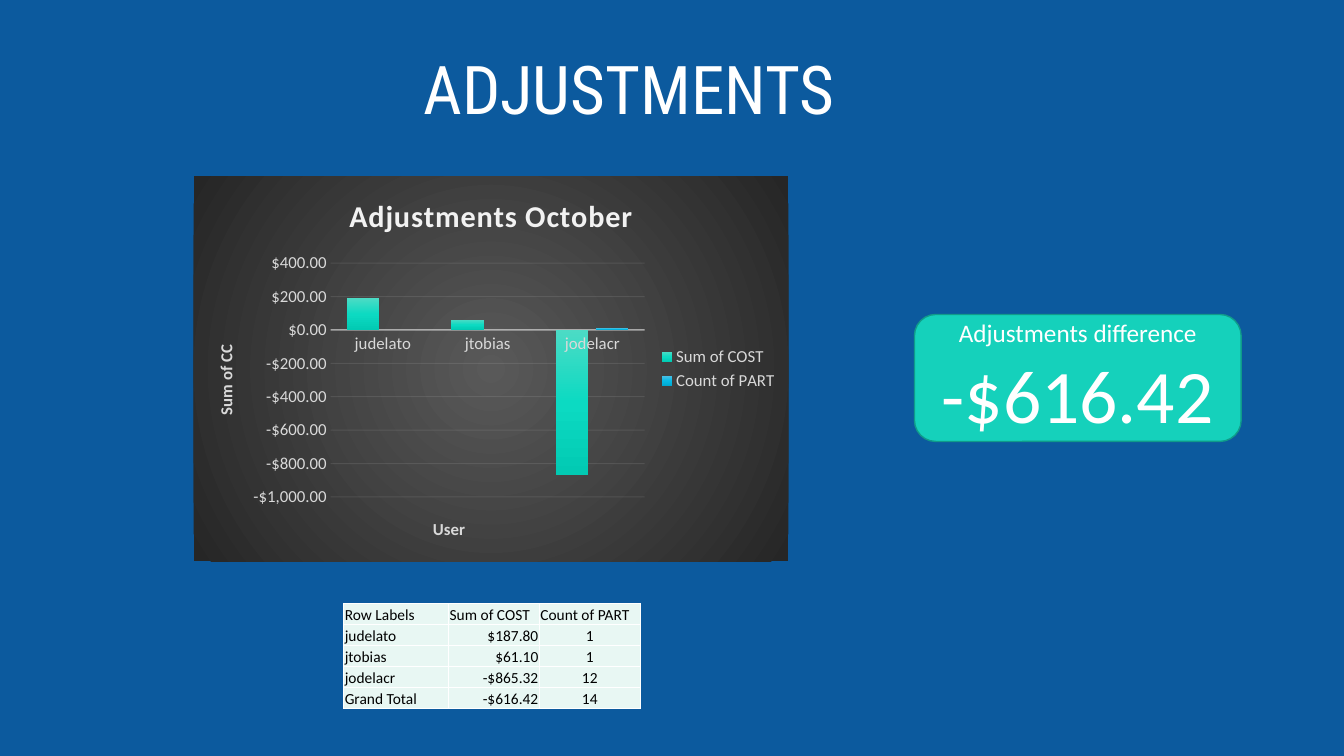
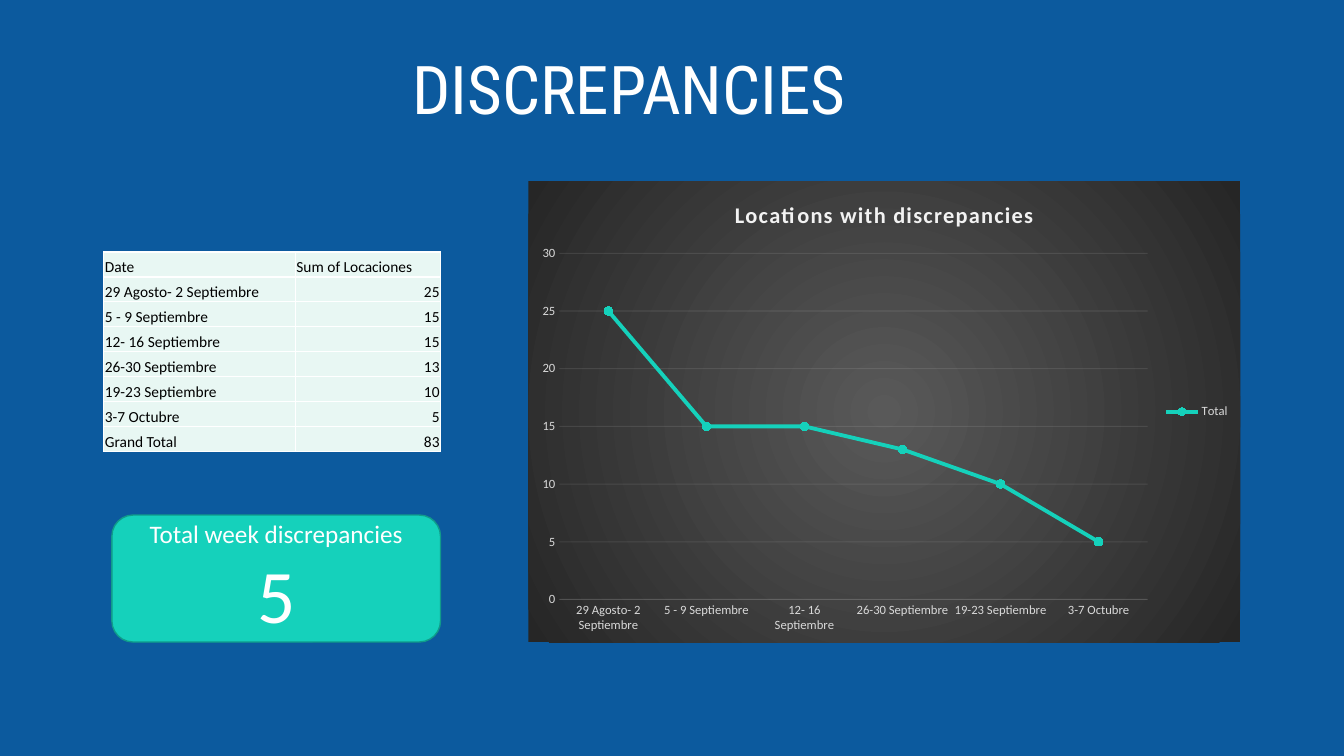
from dataclasses import dataclass
from typing import Optional

import lxml.etree
import pptx
import pptx.chart.data
import pptx.dml.color
import pptx.enum.chart
import pptx.enum.shapes
import pptx.enum.text
import pptx.oxml
import pptx.oxml.ns
import pptx.util

Inches = pptx.util.Inches
Pt = pptx.util.Pt
RGB = pptx.dml.color.RGBColor
ALIGN = pptx.enum.text.PP_ALIGN
ANCHOR = pptx.enum.text.MSO_ANCHOR
CHART = pptx.enum.chart.XL_CHART_TYPE
qn = pptx.oxml.ns.qn

BLUE = RGB(0x0C, 0x5A, 0x9E)
TEAL = RGB(0x15, 0xD1, 0xBB)
DARK_TEAL = RGB(0x10, 0x9B, 0x8A)
MARKER = RGB(0x0C, 0xDA, 0xC2)
MINT = RGB(0xE8, 0xF7, 0xF3)
WHITE = RGB(0xFF, 0xFF, 0xFF)
BLACK = RGB(0, 0, 0)
PALE = RGB(0xF2, 0xF2, 0xF2)
GREY = RGB(0xD9, 0xD9, 0xD9)
CHARCOAL_STOPS = (RGB(0x59, 0x59, 0x59), RGB(0x26, 0x26, 0x26))
BAR_STOPS = (
    (RGB(0x4C, 0xDB, 0xC5), RGB(0x0C, 0xDA, 0xC2), RGB(0x02, 0xCA, 0xB3)),
    (RGB(0x4C, 0xBF, 0xE4), RGB(0x05, 0xBA, 0xE5), RGB(0x00, 0xA8, 0xD0)),
)
BODY_FONT = "Calibri"
TITLE_FONT = "Roboto Condensed"
LINEAR = '<a:lin ang="5400000" scaled="0"/>'
RADIAL = ('<a:path path="circle"><a:fillToRect l="50000" t="50000" '
          'r="50000" b="50000"/></a:path>')


@dataclass
class Box:
    left: float
    top: float
    width: float
    height: float

    def emu(self) -> tuple:
        return tuple(Inches(v) for v in (self.left, self.top, self.width, self.height))


@dataclass
class ChartStyle:
    kind: int
    title: str
    title_size: float
    title_spacing: int
    label_size: float
    low: float
    high: float
    step: float
    axis_width: float
    axis_alpha: int
    number_format: str = "General"
    cat_title: Optional[str] = None
    val_title: Optional[str] = None


def add_run(p, text: str, size: float, color: RGB, font: str = BODY_FONT, bold: bool = False):
    r = p.add_run()
    r.text = text
    r.font.size = Pt(size)
    r.font.name = font
    r.font.bold = bold
    r.font.color.rgb = color
    return r


def add_title(s, text: str) -> None:
    tf = s.shapes.add_textbox(*Box(2.32, 0.36, 7.84, 0.97).emu()).text_frame
    tf.word_wrap = True
    tf.margin_left = tf.margin_right = 0
    tf.vertical_anchor = ANCHOR.BOTTOM
    p = tf.paragraphs[0]
    p.alignment = ALIGN.CENTER
    p.line_spacing = 0.9
    add_run(p, text, 48, WHITE, TITLE_FONT)


def add_callout(s, box: Box, label: str, value: str) -> None:
    sp = s.shapes.add_shape(pptx.enum.shapes.MSO_SHAPE.ROUNDED_RECTANGLE, *box.emu())
    sp.shadow.inherit = False
    sp.fill.solid()
    sp.fill.fore_color.rgb = TEAL
    sp.line.color.rgb = DARK_TEAL
    sp.line.width = Pt(1)
    tf = sp.text_frame
    tf.word_wrap = True
    tf.vertical_anchor = ANCHOR.MIDDLE
    for i, (text, size) in enumerate(((label, 18), (value, 54))):
        p = tf.add_paragraph() if i else tf.paragraphs[0]
        p.alignment = ALIGN.CENTER
        add_run(p, text, size, WHITE)


def add_borders(cell) -> None:
    tc_pr = cell._tc.get_or_add_tcPr()
    for side in ("lnL", "lnR", "lnT", "lnB"):
        ln = lxml.etree.SubElement(tc_pr, qn(f"a:{side}"), w=str(Pt(1)))
        fill = lxml.etree.SubElement(ln, qn("a:solidFill"))
        lxml.etree.SubElement(fill, qn("a:srgbClr"), val=str(WHITE))


def add_table(s, left: float, top: float, widths: list[float], height: float,
              rows: list[tuple], aligns: list) -> None:
    box = Box(left, top, sum(widths), height)
    table = s.shapes.add_table(len(rows), len(widths), *box.emu()).table
    table.first_row = table.horz_banding = False
    for column, width in zip(table.columns, widths):
        column.width = Inches(width)
    for i, row in enumerate(rows):
        table.rows[i].height = Inches(height / len(rows))
        for j, text in enumerate(row):
            cell = table.cell(i, j)
            cell.margin_left = cell.margin_right = cell.margin_top = Inches(0.01)
            cell.margin_bottom = 0
            cell.vertical_anchor = ANCHOR.BOTTOM
            add_borders(cell)
            cell.fill.solid()
            cell.fill.fore_color.rgb = MINT
            p = cell.text_frame.paragraphs[0]
            p.alignment = aligns[j] if i else ALIGN.LEFT
            add_run(p, text, 11, BLACK)


def gradient(stops: tuple, direction: str):
    last = len(stops) - 1
    marks = "".join(
        f'<a:gs pos="{100000 * i // last}"><a:srgbClr val="{c}"/></a:gs>'
        for i, c in enumerate(stops))
    return pptx.oxml.parse_xml(
        f'<a:gradFill {pptx.oxml.ns.nsdecls("a")} rotWithShape="1">'
        f'<a:gsLst>{marks}</a:gsLst>{direction}</a:gradFill>')


def fill_backdrop(chart) -> None:
    sp_pr = pptx.oxml.parse_xml(
        f'<c:spPr {pptx.oxml.ns.nsdecls("c", "a")}><a:ln><a:noFill/></a:ln></c:spPr>')
    sp_pr.insert(0, gradient(CHARCOAL_STOPS, RADIAL))
    chart.element.find(qn("c:chart")).addnext(sp_pr)


def style_line(fmt, width: float, alpha: int) -> None:
    fmt.line.color.rgb = PALE
    fmt.line.width = Pt(width)
    color = next(fmt.line._ln.iter(qn("a:srgbClr")))
    lxml.etree.SubElement(color, qn("a:alpha"), val=str(alpha * 1000))


def style_font(font, size: float, color: RGB) -> None:
    font.name = BODY_FONT
    font.size = Pt(size)
    font.color.rgb = color


def style_axis(axis, title: Optional[str], size: float) -> None:
    axis.major_tick_mark = axis.minor_tick_mark = pptx.enum.chart.XL_TICK_MARK.NONE
    style_font(axis.tick_labels.font, size, GREY)
    axis.has_title = title is not None
    if title:
        add_run(axis.axis_title.text_frame.paragraphs[0], title, size, GREY, bold=True)


def add_chart(s, box: Box, style: ChartStyle, categories: list[str], series: dict):
    data = pptx.chart.data.CategoryChartData()
    data.categories = categories
    for name, values in series.items():
        data.add_series(name, values)
    chart = s.shapes.add_chart(style.kind, *box.emu(), data).chart
    style_font(chart.font, 10, BLACK)
    fill_backdrop(chart)
    chart.has_title = True
    p = chart.chart_title.text_frame.paragraphs[0]
    r = add_run(p, style.title, style.title_size, PALE, bold=True)
    r._r.get_or_add_rPr().set("spc", str(style.title_spacing))
    chart.chart_title.include_in_layout = False
    chart.has_legend = True
    chart.legend.position = pptx.enum.chart.XL_LEGEND_POSITION.RIGHT
    chart.legend.include_in_layout = False
    style_font(chart.legend.font, style.label_size, GREY)

    cat, val = chart.category_axis, chart.value_axis
    style_axis(cat, style.cat_title, style.label_size)
    style_axis(val, style.val_title, style.label_size)
    style_line(cat.format, style.axis_width, style.axis_alpha)
    val.format.line.fill.background()
    val.has_major_gridlines = True
    style_line(val.major_gridlines.format, 0.75, 10)
    val.minimum_scale, val.maximum_scale, val.major_unit = style.low, style.high, style.step
    val.tick_labels.number_format = style.number_format
    val.tick_labels.number_format_is_linked = False
    chart.plots[0].vary_by_categories = False
    return chart


def build_adjustments(s) -> None:
    add_title(s, "ADJUSTMENTS")
    users = ["judelato", "jtobias", "jodelacr"]
    style = ChartStyle(CHART.COLUMN_CLUSTERED, "Adjustments October", 21.6, 50, 12,
                       -1000, 400, 200, 1, 54, '"$"#,##0.00', "User", "Sum of CC")
    chart = add_chart(s, Box(1.92, 1.75, 5.9, 3.82), style, users,
                      {"Sum of COST": [190, 60, -870], "Count of PART": [0, 0, 10]})
    plot = chart.plots[0]
    plot.gap_width = 100
    plot.overlap = -24
    for series, stops in zip(plot.series, BAR_STOPS):
        series.invert_if_negative = False
        series.format.fill.solid()
        solid = next(series._element.iter(qn("a:solidFill")))
        solid.getparent().replace(solid, gradient(stops, LINEAR))

    add_callout(s, Box(9.07, 3.12, 3.24, 1.26), "Adjustments difference", "-$616.42")
    rows = [
        ("Row Labels", "Sum of COST", "Count of PART"),
        ("judelato", "$187.80", "1"),
        ("jtobias", "$61.10", "1"),
        ("jodelacr", "-$865.32", "12"),
        ("Grand Total", "-$616.42", "14"),
    ]
    add_table(s, 3.41, 5.99, [1.04, 0.9, 1], 1.04, rows,
              [ALIGN.LEFT, ALIGN.RIGHT, ALIGN.CENTER])


def build_discrepancies(s) -> None:
    add_title(s, "DISCREPANCIES")
    weeks = {
        "29 Agosto- 2 Septiembre": 25,
        "5 - 9 Septiembre": 15,
        "12- 16 Septiembre": 15,
        "26-30 Septiembre": 13,
        "19-23 Septiembre": 10,
        "3-7 Octubre": 5,
    }
    style = ChartStyle(CHART.LINE_MARKERS, "Locations with discrepancies", 16, 100, 9,
                       0, 30, 5, 0.75, 10)
    chart = add_chart(s, Box(5.24, 1.8, 7.06, 4.57), style, list(weeks),
                      {"Total": list(weeks.values())})
    total = chart.plots[0].series[0]
    total.smooth = False
    total.format.line.color.rgb = TEAL
    total.format.line.width = Pt(2.75)
    total.marker.style = pptx.enum.chart.XL_MARKER_STYLE.CIRCLE
    total.marker.size = 6
    total.marker.format.fill.solid()
    total.marker.format.fill.fore_color.rgb = MARKER
    total.marker.format.line.color.rgb = TEAL

    rows = [("Date", "Sum of Locaciones")]
    rows += [(week, str(count)) for week, count in weeks.items()]
    rows.append(("Grand Total", str(sum(weeks.values()))))
    add_table(s, 1.03, 2.5, [1.9, 1.44], 1.98, rows, [ALIGN.LEFT, ALIGN.RIGHT])
    add_callout(s, Box(1.11, 5.11, 3.26, 1.26), "Total week discrepancies", "5")


def main() -> None:
    prs = pptx.Presentation()
    prs.slide_width, prs.slide_height = Inches(13.33), Inches(7.5)
    background = prs.slide_master.background.fill
    background.solid()
    background.fore_color.rgb = BLUE
    for build in (build_adjustments, build_discrepancies):
        build(prs.slides.add_slide(prs.slide_layouts[6]))
    prs.save("out.pptx")


if __name__ == "__main__":
    main()
